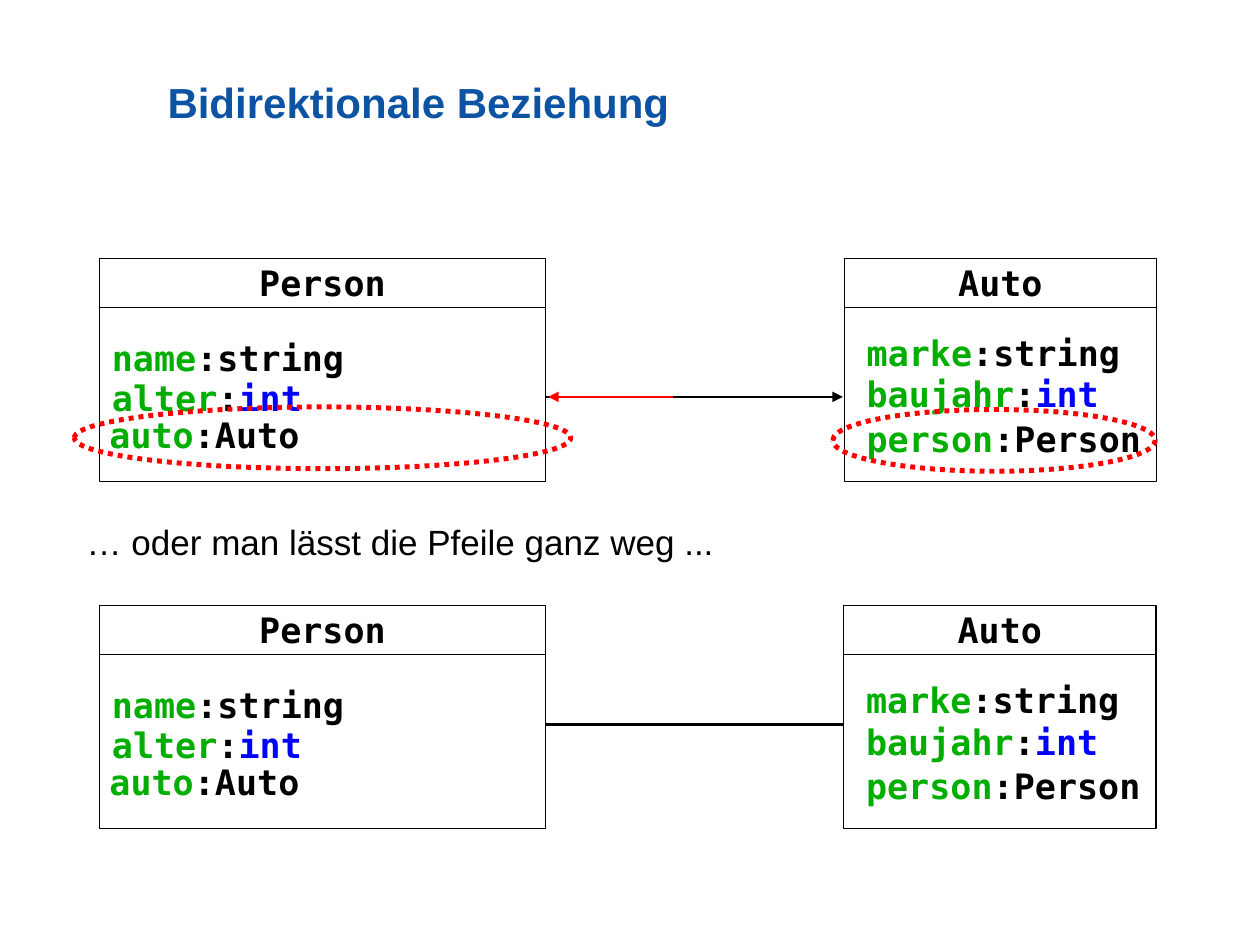
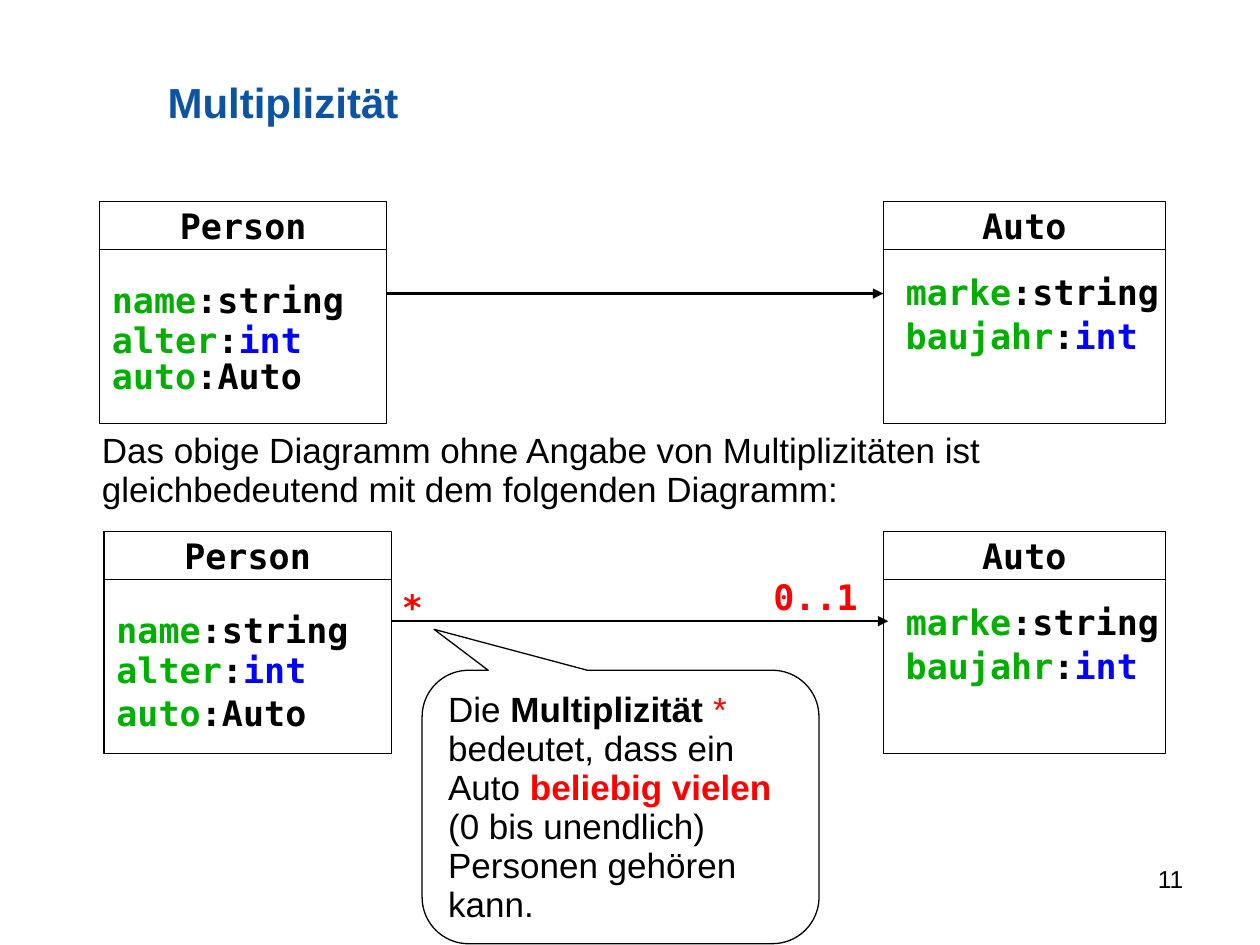
from lxml.etree import SubElement
from pptx import Presentation
from pptx.dml.color import RGBColor
from pptx.enum.dml import MSO_LINE_DASH_STYLE as Dash
from pptx.enum.shapes import MSO_CONNECTOR_TYPE as Link, MSO_SHAPE as Shape
from pptx.enum.text import MSO_ANCHOR as Anchor, PP_ALIGN as Align
from pptx.oxml.ns import qn
from pptx.util import Inches, Pt

# Shared style: the grid has 100 columns and 75 rows
COLUMNS, ROWS = 100, 75
COLORS = {"title": "0C53A3", "text": "000000", "paper": "FFFFFF",
          "field": "00AE00", "keyword": "0000FF", "accent": "FF0000"}
SANS, MONO = "Arial", "DejaVu Sans Mono"
# font, size, bold, line spacing, insets (left, top, right, bottom) in cells
STYLES = {
    "title": (SANS, 24, True, 0.95, (0, 0, 0, 0)),
    "body": (SANS, 20, False, 0.93, (1, 0.7, 1, 0.5)),
    "number": (SANS, 14, False, 0.93, (1, 0.5, 1, 0.5)),
    "code": (MONO, 20, True, 0.89, (1, 0.8, 1, 0.5)),
}
BODY_HEIGHT, NAME_HEIGHT, FIELD_HEIGHT = 13.8, 3.9, 4.2


def color(name):
    return RGBColor.from_string(COLORS[name])


class Sketch:
    """Holds the style and the current slide."""

    def __init__(self):
        self.deck = Presentation()
        self.deck.slide_width, self.deck.slide_height = Inches(10), Inches(7.5)
        self.cell_width = self.deck.slide_width / COLUMNS
        self.cell_height = self.deck.slide_height / ROWS

    def x(self, columns):
        return round(columns * self.cell_width)

    def y(self, rows):
        return round(rows * self.cell_height)

    def area(self, left, top, width, height):
        return self.x(left), self.y(top), self.x(width), self.y(height)

    def page(self, title, name_row):
        """Start a slide; name_row is the drop from class name to class body."""
        self.name_row = name_row
        self.slide = self.deck.slides.add_slide(self.deck.slide_layouts[6])
        self.text((13.3, 3.3, 85, 10), [[(title, "title")]], "title", anchor=Anchor.MIDDLE)

    def set_lines(self, box, lines, style, align=Align.LEFT, anchor=Anchor.TOP):
        """Fill a box with lines of spans: (text, colour) or (text, colour, bold)."""
        font, size, bold, spacing, insets = STYLES[style]
        frame = box.text_frame
        frame.word_wrap, frame.vertical_anchor = True, anchor
        frame.margin_left, frame.margin_top, frame.margin_right, frame.margin_bottom = \
            self.area(*insets)
        for index, line in enumerate(lines):
            para = frame.add_paragraph() if index else frame.paragraphs[0]
            para.alignment, para.line_spacing = align, spacing
            for text, tone, *weight in line:
                if text == "\n":
                    para.add_line_break()
                    continue
                span = para.add_run()
                span.text = text
                span.font.name, span.font.size = font, Pt(size)
                span.font.bold = weight[0] if weight else bold
                span.font.color.rgb = color(tone)

    def text(self, area, lines, style, **layout):
        box = self.slide.shapes.add_textbox(*self.area(*area))
        self.set_lines(box, lines, style, **layout)

    def shape(self, kind, area, fill="paper", line="text", weight=0.75):
        shape = self.slide.shapes.add_shape(kind, *self.area(*area))
        shape.shadow.inherit = False
        if fill:
            shape.fill.solid()
            shape.fill.fore_color.rgb = color(fill)
        else:
            shape.fill.background()
        shape.line.color.rgb, shape.line.width = color(line), Pt(weight)
        return shape

    def highlight(self, *area):
        ring = self.shape(Shape.OVAL, area, None, "accent", 2.83)
        ring.line.dash_style = Dash.ROUND_DOT

    def link(self, start, end, row, arrow=True, tone="text"):
        line = self.slide.shapes.add_connector(
            Link.STRAIGHT, self.x(start), self.y(row), self.x(end), self.y(row))
        line.line.color.rgb, line.line.width = color(tone), Pt(1.42)
        properties = line._element.spPr
        if arrow:
            SubElement(properties.find(qn("a:ln")), qn("a:tailEnd"), type="triangle")
        SubElement(properties, qn("a:effectLst"))

    def uml_class(self, name, left, top, width, fields):
        """Draw a class; fields are (text, column offset, row offset)."""
        head = self.shape(Shape.RECTANGLE, (left, top, width, NAME_HEIGHT))
        self.set_lines(head, [[(name, "text")]], "code", Align.CENTER, Anchor.MIDDLE)
        self.shape(Shape.RECTANGLE, (left, top + self.name_row, width, BODY_HEIGHT))
        for field, dx, dy in fields:
            label, kind = field.split(":")
            if kind == "int":
                spans = [(label, "field"), (":", "text"), (kind, "keyword")]
            else:
                spans = [(label, "field"), (":" + kind, "text")]
            field_width = 1.8 * len(field) + 1.6
            self.text((left + dx, top + dy, field_width, FIELD_HEIGHT), [spans], "code")


def bidirectional(sketch):
    sketch.page("Bidirektionale Beziehung", name_row=3.9)
    # Class pairs: upper with arrows, lower with a plain line
    for top, auto_left in ((20.5, 67), (48.05, 66.95)):
        sketch.uml_class("Person", 7.9, top, 35.4, [
            ("name:string", 0, 5.8), ("alter:int", 0, 9), ("auto:Auto", -0.2, 11.9)])
        sketch.uml_class("Auto", auto_left, top, 24.8, [
            ("marke:string", 0.8, 5.4), ("baujahr:int", 0.8, 8.7),
            ("person:Person", 0.8, 12.2)])
    # Relations
    sketch.link(43.3, 66.9, 31.5)
    sketch.link(53.4, 43.5, 31.5, tone="accent")
    sketch.link(43.3, 66.9, 57.5, arrow=False)
    # Marked fields and remark
    sketch.highlight(66.1, 32.5, 25.6, 4.9)
    sketch.highlight(5.9, 32.3, 39.4, 4.9)
    sketch.text((5.9, 40.9, 61, 4.1),
                [[("… oder man lässt die Pfeile ganz weg ...", "text")]], "body")


def multiplicity(sketch):
    sketch.page("Multiplizität", name_row=3.8)
    sketch.text((71.7, 68.3, 23.2, 5.1), [[("11", "text")]], "number", align=Align.RIGHT)
    # Class pairs: without and with multiplicities
    for top, person_left, last_row in ((16, 7.9, 11.7), (42.2, 8.25, 12.3)):
        sketch.uml_class("Person", person_left, top, 22.8, [
            ("name:string", 0, 5.7), ("alter:int", 0, 8.85), ("auto:Auto", 0, last_row)])
        sketch.uml_class("Auto", 70.1, top, 22.4, [
            ("marke:string", 0.8, 5.05), ("baujahr:int", 0.8, 8.55)])
    # Relations and their multiplicities
    sketch.link(30.7, 70.1, 23.3)
    sketch.link(31.1, 70.5, 49.3)
    for label, left, top in (("0..1", 60.4, 45.3), ("*", 30.9, 46.1)):
        sketch.text((left, top, 10.2, FIELD_HEIGHT), [[(label, "accent")]], "code")
    # Remark between the diagrams
    sketch.text((7.1, 33.6, 86.6, 7.2), [[(
        "Das obige Diagramm ohne Angabe von Multiplizitäten ist "
        "gleichbedeutend mit dem folgenden Diagramm:", "text")]], "body")
    # Callout
    callout = sketch.shape(Shape.ROUNDED_RECTANGULAR_CALLOUT, (33.5, 53.2, 31.5, 21.7))
    for index, value in enumerate((-0.47, -0.65, 0.17)):
        callout.adjustments[index] = value
    sketch.set_lines(callout, [
        [("Die ", "text"), ("Multiplizität ", "text", True), ("*", "accent")],
        [("bedeutet, dass ein", "text")],
        [("Auto ", "text"), ("beliebig vielen", "accent", True), ("\n", "text"),
         ("(0 bis unendlich)", "text")],
        [("Personen gehören", "text")],
        [("kann.", "text")],
    ], "body", anchor=Anchor.MIDDLE)


def main():
    sketch = Sketch()
    bidirectional(sketch)
    multiplicity(sketch)
    sketch.deck.save("out.pptx")


if __name__ == "__main__":
    main()
